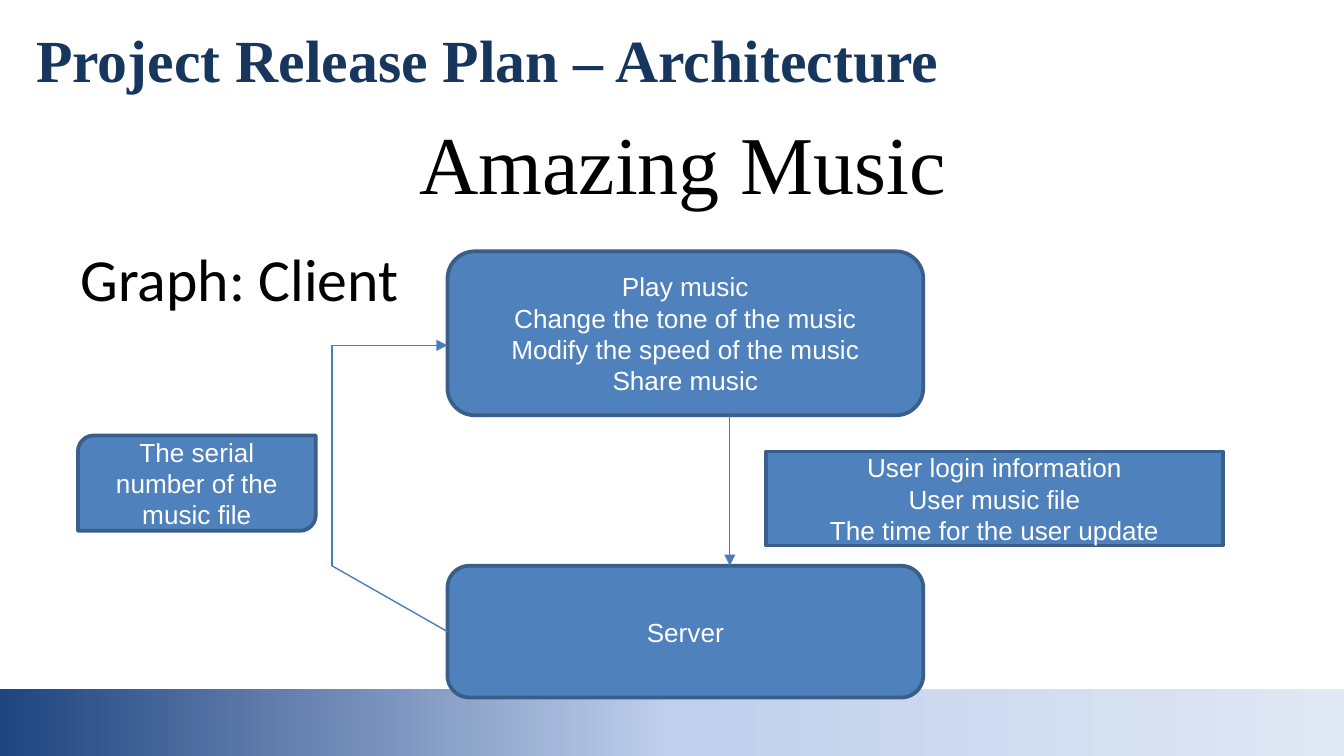
from lxml import etree
from pptx import Presentation
from pptx import util as u
from pptx.dml import color
from pptx.enum import shapes, text
from pptx.oxml import ns

COLORS = {
    "heading": "17365D", "ink": "000000", "white": "FFFFFF",
    "box": "4F81BD", "edge": "395E89", "arrow": "4A7DBA",
    "band_start": "1F447F", "band_mid": "BFCFEC", "band_end": "E0E8F4",
}
FONTS = {
    "heading": {"name": "Times New Roman", "size": u.Pt(32), "bold": True},
    "title": {"name": "Times New Roman", "size": u.Pt(44), "bold": False},
    "body": {"name": "Calibri", "size": u.Pt(32), "bold": False},
    "box": {"name": "Arial", "size": u.Pt(14), "bold": False},
}
MARGINS = {
    "margin_left": u.Inches(0.1), "margin_right": u.Inches(0.1),
    "margin_top": u.Inches(0.05), "margin_bottom": u.Inches(0.05),
}
WIDTH = 10
HEIGHT = WIDTH * 9 / 16
LEFT, CENTER = text.PP_ALIGN.LEFT, text.PP_ALIGN.CENTER
TOP, MIDDLE = text.MSO_ANCHOR.TOP, text.MSO_ANCHOR.MIDDLE
SHAPE = shapes.MSO_SHAPE


def rgb(name):
    return color.RGBColor.from_string(COLORS[name])


def inches(values):
    return [u.Inches(v) for v in values]


def set_attrs(obj, values):
    for name, value in values.items():
        setattr(obj, name, value)


def place(sp, box):
    set_attrs(sp, dict(zip(("left", "top", "width", "height"), inches(box))))


def write(sp, lines, font, ink, align=CENTER, anchor=MIDDLE):
    tf = sp.text_frame
    set_attrs(tf, {"word_wrap": True, "auto_size": text.MSO_AUTO_SIZE.NONE,
                   "vertical_anchor": anchor, **MARGINS})
    for i, line in enumerate(lines):
        p = tf.paragraphs[0] if i == 0 else tf.add_paragraph()
        p.alignment = align
        r = p.add_run()
        r.text = line
        set_attrs(r.font, FONTS[font])
        r.font.color.rgb = rgb(ink)
    return tf


def add_heading(s, box, line):
    sp = s.shapes.add_textbox(*inches(box))
    write(sp, [line], "heading", "heading", LEFT, TOP)


def add_title(s, box, line):
    place(s.shapes.title, box)
    write(s.shapes.title, [line], "title", "ink")


def add_body(s, box, line):
    sp = s.placeholders[1]
    place(sp, box)
    p = write(sp, [line], "body", "ink", LEFT, TOP).paragraphs[0]
    p.space_before = u.Pt(6.4)
    pPr = p._p.get_or_add_pPr()
    pPr.set("marL", "0")
    pPr.set("indent", "0")
    etree.SubElement(pPr, ns.qn("a:buNone"))


def add_band(s, box):
    sp = s.shapes.add_shape(SHAPE.RECTANGLE, *inches(box))
    sp.shadow.inherit = False
    sp.line.fill.background()
    sp.fill.gradient()
    sp.fill.gradient_angle = 0
    gsLst = sp._element.spPr.find(".//" + ns.qn("a:gsLst"))
    for gs in list(gsLst):
        gsLst.remove(gs)
    for pos, name in ((0, "band_start"), (50, "band_mid"), (100, "band_end")):
        gs = etree.SubElement(gsLst, ns.qn("a:gs"), pos=str(pos * 1000))
        etree.SubElement(gs, ns.qn("a:srgbClr"), val=COLORS[name])


def add_box(s, kind, box, lines):
    sp = s.shapes.add_shape(kind, *inches(box))
    sp.shadow.inherit = False
    sp.fill.solid()
    sp.fill.fore_color.rgb = rgb("box")
    sp.line.color.rgb = rgb("edge")
    sp.line.width = u.Pt(2)
    write(sp, lines, "box", "white")


def add_route(s, points):
    for start, end in zip(points, points[1:]):
        cx = s.shapes.add_connector(shapes.MSO_CONNECTOR.STRAIGHT, *inches(start + end))
        cx.line.color.rgb = rgb("arrow")
        cx.line.width = u.Pt(0.75)
        spPr = cx._element.spPr
        if end == points[-1]:
            etree.SubElement(spPr.get_or_add_ln(), ns.qn("a:tailEnd"), type="triangle")
        etree.SubElement(spPr, ns.qn("a:effectLst"))


def add_architecture(s, box):
    x, y, w, h = box
    client_h, server_h = 1.22, 0.98
    server_y = y + h - server_h
    add_box(s, SHAPE.ROUNDED_RECTANGLE, (x, y, w, client_h),
            ["Play music", "Change the tone of the music",
             "Modify the speed of the music", "Share music"])
    add_box(s, SHAPE.ROUNDED_RECTANGLE, (x, server_y, w, server_h), ["Server"])
    down_x, turn_x, client_y = x + 2.1, x - 0.86, y + 0.7
    add_route(s, [(down_x, y + client_h), (down_x, server_y)])
    add_route(s, [(x, server_y + server_h / 2), (turn_x, server_y),
                  (turn_x, client_y), (x, client_y)])
    add_box(s, SHAPE.RECTANGLE, (x + 2.37, y + 1.49, 3.4, 0.7),
            ["User login information", "User music file",
             "The time for the user update"])
    add_box(s, SHAPE.ROUND_2_DIAG_RECTANGLE, (x - 2.75, y + 1.37, 1.77, 0.71),
            ["The serial number of the music file"])


prs = Presentation()
prs.slide_width, prs.slide_height = inches((WIDTH, HEIGHT))
s = prs.slides.add_slide(prs.slide_layouts[1])
add_heading(s, (0.17, 0.12, 7.31, 0.48), "Project Release Plan – Architecture")
add_title(s, (0.58, 0.73, 9, 0.94), "Amazing Music")
add_body(s, (0.5, 1.75, 9, 3.27), "Graph: Client")
add_band(s, (0, HEIGHT - 0.5, WIDTH, 0.5))
add_architecture(s, (3.33, 1.87, 3.54, 3.32))
prs.save("out.pptx")
